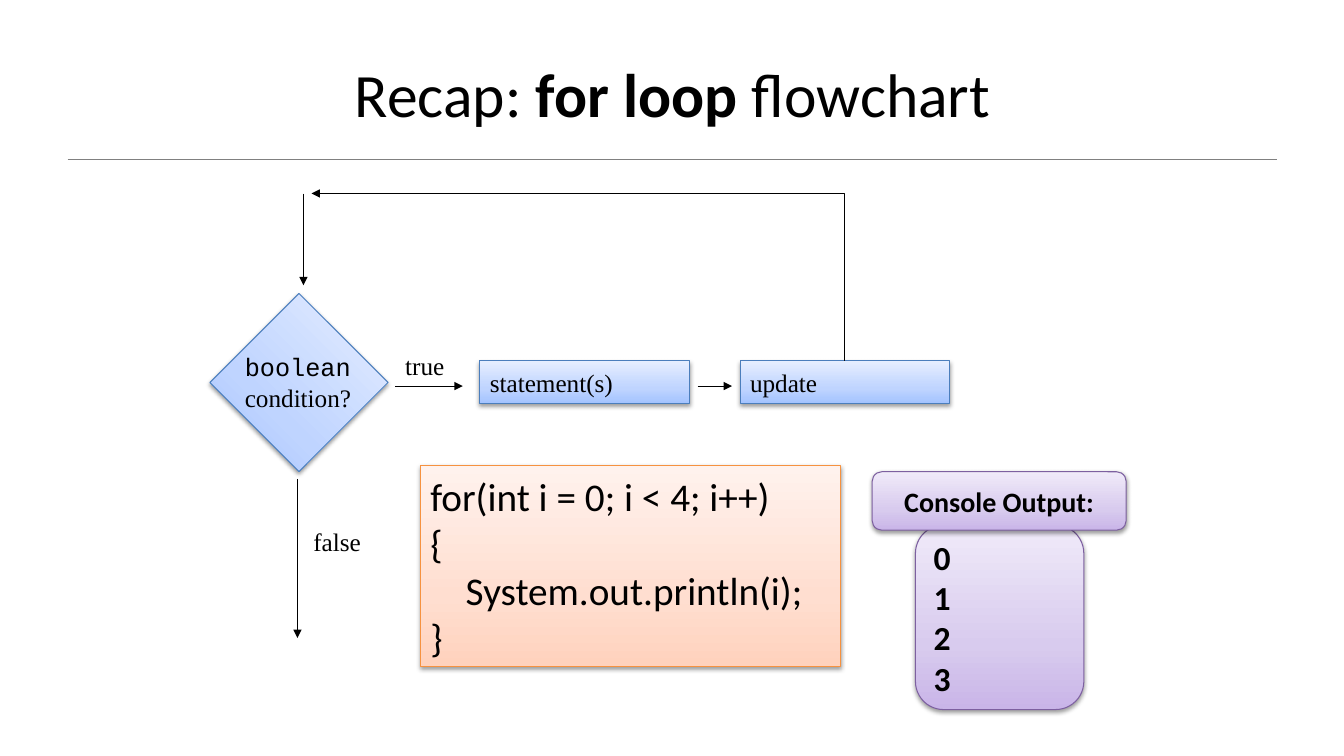
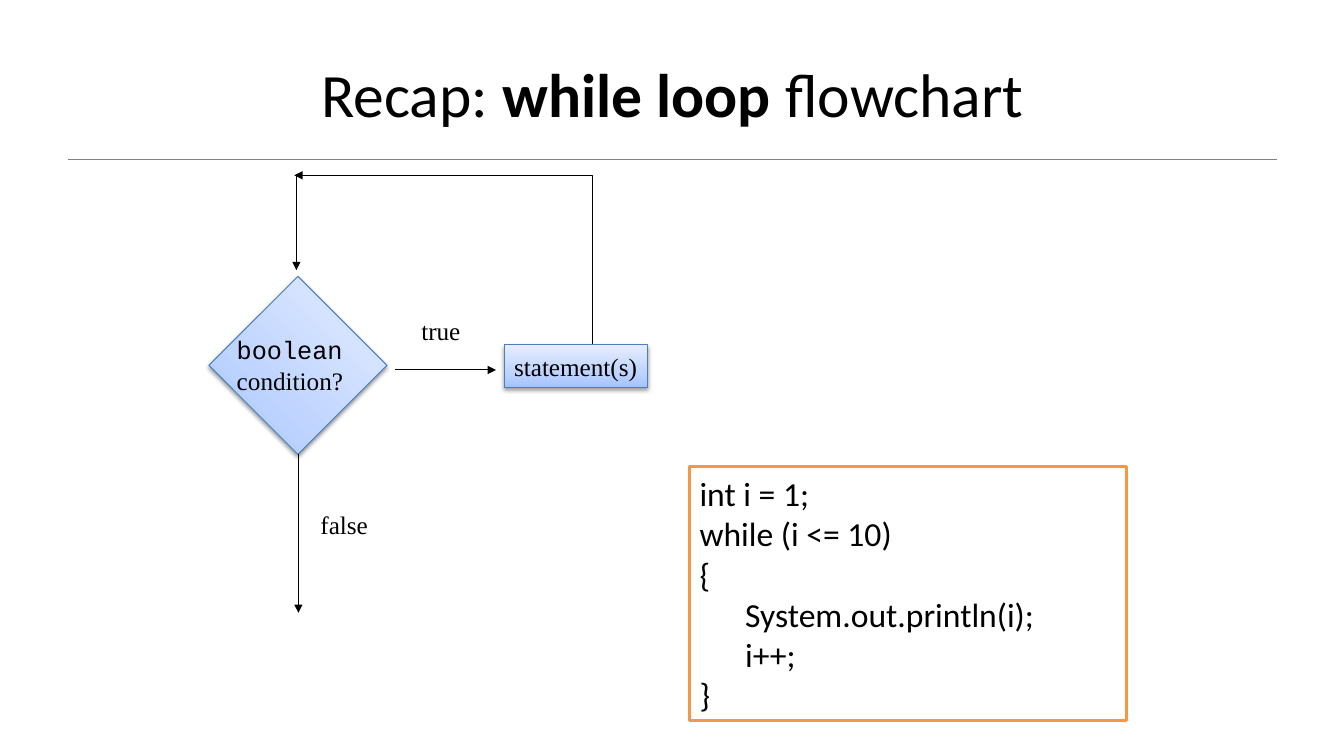
from copy import deepcopy

from lxml import etree
from pptx import Presentation
from pptx.dml.color import RGBColor
from pptx.enum.shapes import MSO_CONNECTOR, MSO_SHAPE
from pptx.enum.text import MSO_ANCHOR, MSO_AUTO_SIZE, PP_ALIGN
from pptx.oxml.ns import qn
from pptx.util import Emu, Pt

STRAIGHT, ELBOW = MSO_CONNECTOR.STRAIGHT, MSO_CONNECTOR.ELBOW
RECTANGLE, ROUNDED = MSO_SHAPE.RECTANGLE, MSO_SHAPE.ROUNDED_RECTANGLE
LEFT, CENTER = PP_ALIGN.LEFT, PP_ALIGN.CENTER
MIDDLE, TOP = MSO_ANCHOR.MIDDLE, MSO_ANCHOR.TOP

# Shared style: 100 px to the inch
EMU_PER_PX = 9144
SLIDE_SIZE = (1333, 750)
TITLE_BOX = (67, 30, 1200, 125)
RULE = ((67, 158), (1267, 158))
BLACK, GRAY, WHITE = "000000", "808080", "FFFFFF"
SANS, SERIF, MONO = "Calibri", "Times New Roman", "Courier New"
STOPS = (0, 0.35, 1)
BLUE = {"fill": ("A4C4FF", "BFD4FF", "E6EEFF"), "line": ("4B7EBC", 0.75)}
PURPLE = {"fill": ("C9B5E8", "D8CBEE", "F0EAF9"), "line": ("7D60A0", 0.75)}
ORANGE = {"fill": ("FFD2BD", "FFDED0", "FFF2ED"), "line": ("F69240", 0.75)}
OUTLINED = {"fill": WHITE, "line": ("F79646", 2)}
CONDITION = [("boolean", MONO), ("condition?", SERIF)]
DIAMOND_SIDE = 125

# Content
SLIDES = [
    {
        "title": ("Recap: ", "for loop ", "flowchart"),
        "code": {
            "box": (417, 462, 417, 199), "style": ORANGE, "size": 28,
            "lines": ["for(int i = 0; i < 4; i++)", "{",
                      "    System.out.println(i);", "}"],
        },
        "diamond": (234, 317),
        "condition": (233, 344, 126, 71),
        "steps": [("statement(s)", (476, 358, 208, 42)),
                  ("update", (734, 358, 208, 42))],
        "labels": [("true", (392, 343, 59, 40)), ("false", (301, 517, 67, 40))],
        "arrows": [((295, 475), (295, 633)), ((301, 192), (301, 283)),
                   ((392, 383), (459, 383)), ((692, 383), (726, 383))],
        "loop_back": ((838, 358), (309, 192)),
        "console": [
            {"box": (908, 521, 167, 183), "size": 24, "align": LEFT,
             "lines": ["0", "1", "2", "3"]},
            {"box": (865, 468, 252, 58), "size": 20, "align": CENTER,
             "lines": ["Console Output:"]},
        ],
    },
    {
        "title": ("Recap: ", "while loop ", "flowchart"),
        "code": {
            "box": (684, 463, 433, 252), "style": OUTLINED, "size": 24,
            "lines": ["int i = 1;", "while (i <= 10)", "{",
                      "      System.out.println(i);", "      i++;", "}"],
        },
        "diamond": (233, 300),
        "condition": (225, 327, 126, 71),
        "steps": [("statement(s)", (500, 342, 142, 42))],
        "labels": [("true", (408, 308, 59, 40)), ("false", (308, 500, 67, 40))],
        "arrows": [((296, 450), (296, 608)), ((294, 175), (294, 268)),
                   ((392, 367), (492, 367))],
        "loop_back": ((588, 341), (292, 174)),
        "console": [],
    },
]


def px(*lengths):
    return [Emu(length * EMU_PER_PX) for length in lengths]


def color(value):
    return RGBColor.from_string(value)


def write(shape, lines, size, align=LEFT, anchor=MIDDLE, bold=False,
          wrap=True, grow=False):
    """Fill a shape with one paragraph per (text, font) pair."""
    frame = shape.text_frame
    frame.word_wrap = wrap
    frame.vertical_anchor = anchor
    if grow:
        frame.auto_size = MSO_AUTO_SIZE.SHAPE_TO_FIT_TEXT
    for index, (text, font_name) in enumerate(lines):
        paragraph = frame.add_paragraph() if index else frame.paragraphs[0]
        paragraph.text = text
        paragraph.alignment = align
        paragraph.font.name = font_name
        paragraph.font.size = Pt(size)
        paragraph.font.bold = bold
        paragraph.font.color.rgb = color(BLACK)


def add_gradient(shape, colors):
    shape.fill.gradient()
    shape.fill.gradient_angle = 90
    stop_list = shape.element.spPr.find(".//" + qn("a:gsLst"))
    stop_list.append(deepcopy(stop_list[0]))
    for stop, position, value in zip(shape.fill.gradient_stops, STOPS, colors):
        stop.position = position
        stop.color.rgb = color(value)


def add_shadow(shape):
    effects = shape.element.spPr.find(qn("a:effectLst"))
    shadow = etree.SubElement(effects, qn("a:outerShdw"), blurRad="40000",
                              dist="20000", dir="5400000", rotWithShape="0")
    shade = etree.SubElement(shadow, qn("a:srgbClr"), val=BLACK)
    etree.SubElement(shade, qn("a:alpha"), val="38000")


def add_box(slide, kind, box, style):
    shape = slide.shapes.add_shape(kind, *px(*box))
    shape.shadow.inherit = False
    line_color, line_width = style["line"]
    shape.line.color.rgb = color(line_color)
    shape.line.width = Pt(line_width)
    if isinstance(style["fill"], str):
        shape.fill.solid()
        shape.fill.fore_color.rgb = color(style["fill"])
    else:
        add_gradient(shape, style["fill"])
        add_shadow(shape)
    return shape


def add_line(slide, kind, ends, line_color=BLACK, width=0.75, arrow=True):
    start, end = ends
    connector = slide.shapes.add_connector(kind, *px(*start, *end))
    connector.line.color.rgb = color(line_color)
    connector.line.width = Pt(width)
    properties = connector.element.spPr
    if arrow:
        etree.SubElement(properties.find(qn("a:ln")), qn("a:tailEnd"),
                         type="triangle")
    etree.SubElement(properties, qn("a:effectLst"))
    return connector


def add_loop_back(slide, ends):
    """Elbow arrow that rises straight from its start, then turns left."""
    connector = add_line(slide, ELBOW, ends)
    geometry = connector.element.spPr.find(qn("a:prstGeom"))
    adjustments = geometry.find(qn("a:avLst"))
    if adjustments is None:
        adjustments = etree.SubElement(geometry, qn("a:avLst"))
    etree.SubElement(adjustments, qn("a:gd"), name="adj1", fmla="val 100")


def add_label(slide, lines, box):
    label = slide.shapes.add_textbox(*px(*box))
    write(label, lines, 18, anchor=TOP, wrap=False, grow=True)


def add_title(slide, parts):
    title = slide.shapes.title
    title.text_frame.vertical_anchor = MIDDLE
    paragraph = title.text_frame.paragraphs[0]
    paragraph.alignment = CENTER
    paragraph.font.name = SANS
    paragraph.font.size = Pt(44)
    paragraph.font.color.rgb = color(BLACK)
    for index, text in enumerate(parts):
        run = paragraph.add_run()
        run.text = text
        run.font.bold = index == 1


def add_flowchart(slide, content):
    diamond = add_box(slide, RECTANGLE,
                      (*content["diamond"], DIAMOND_SIDE, DIAMOND_SIDE), BLUE)
    diamond.rotation = 45
    for text, box in content["steps"]:
        step = add_box(slide, RECTANGLE, box, BLUE)
        write(step, [(text, SERIF)], 18, wrap=False)
    add_loop_back(slide, content["loop_back"])
    for ends in content["arrows"]:
        add_line(slide, STRAIGHT, ends)
    add_label(slide, CONDITION, content["condition"])
    for text, box in content["labels"]:
        add_label(slide, [(text, SERIF)], box)


def add_panel(slide, kind, panel, style, **options):
    shape = add_box(slide, kind, panel["box"], style)
    lines = [(text, SANS) for text in panel["lines"]]
    write(shape, lines, panel["size"], **options)


def main():
    presentation = Presentation()
    presentation.slide_width, presentation.slide_height = px(*SLIDE_SIZE)
    layout = presentation.slide_layouts.get_by_name("Title Only")

    # Title position, inherited from the layout
    layout_title = layout.placeholders[0]
    (layout_title.left, layout_title.top,
     layout_title.width, layout_title.height) = px(*TITLE_BOX)

    for number, content in enumerate(SLIDES):
        slide = presentation.slides.add_slide(layout)
        if number == 0:
            # The rule under the title moves into the layout
            rule = add_line(slide, STRAIGHT, RULE, GRAY, 0.5, arrow=False)
            layout.shapes.element.append(rule.element)
        add_title(slide, content["title"])
        add_panel(slide, RECTANGLE, content["code"], content["code"]["style"],
                  grow=True)
        add_flowchart(slide, content)
        for panel in content["console"]:
            add_panel(slide, ROUNDED, panel, PURPLE, align=panel["align"],
                      bold=True)

    presentation.save("out.pptx")


if __name__ == "__main__":
    main()
